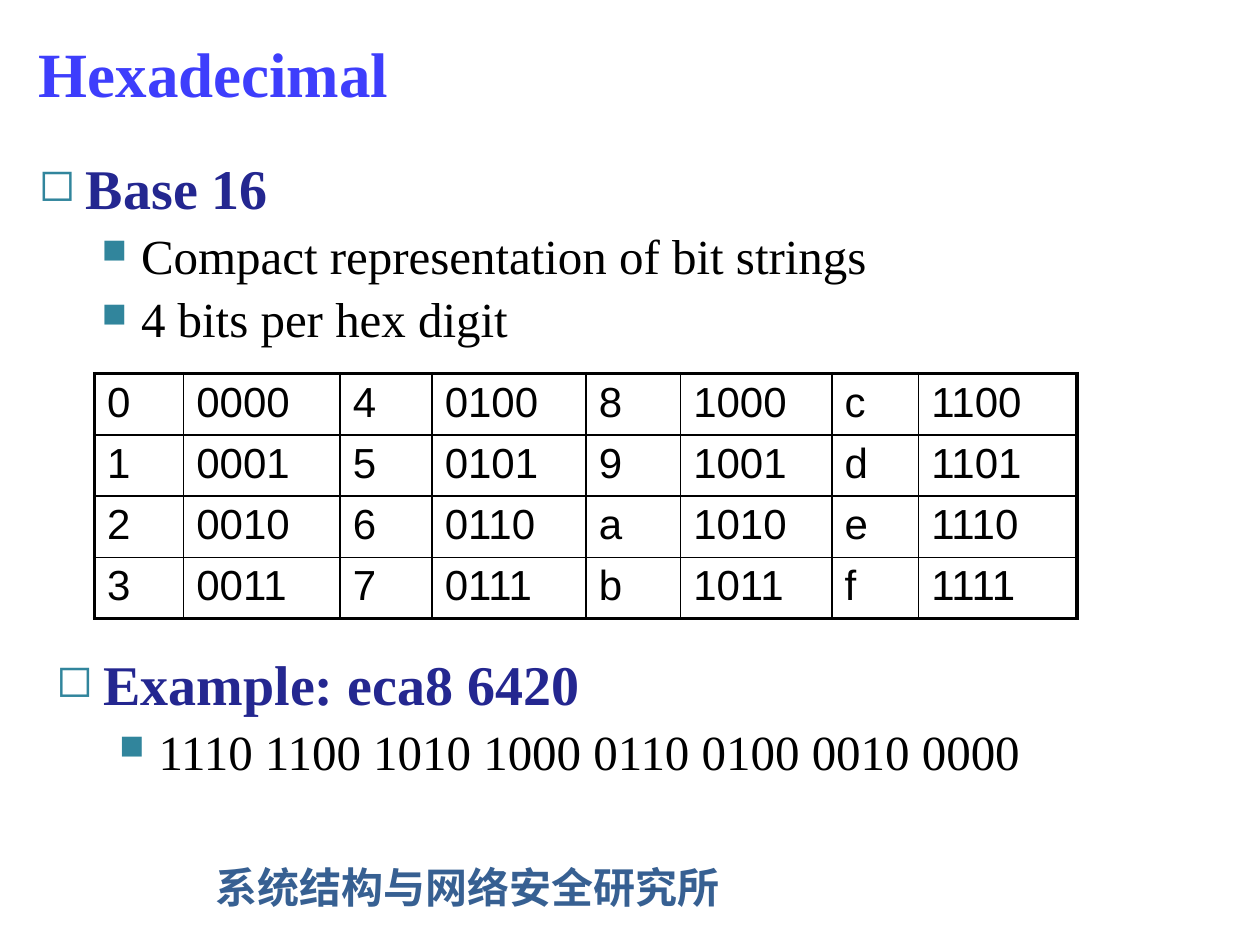
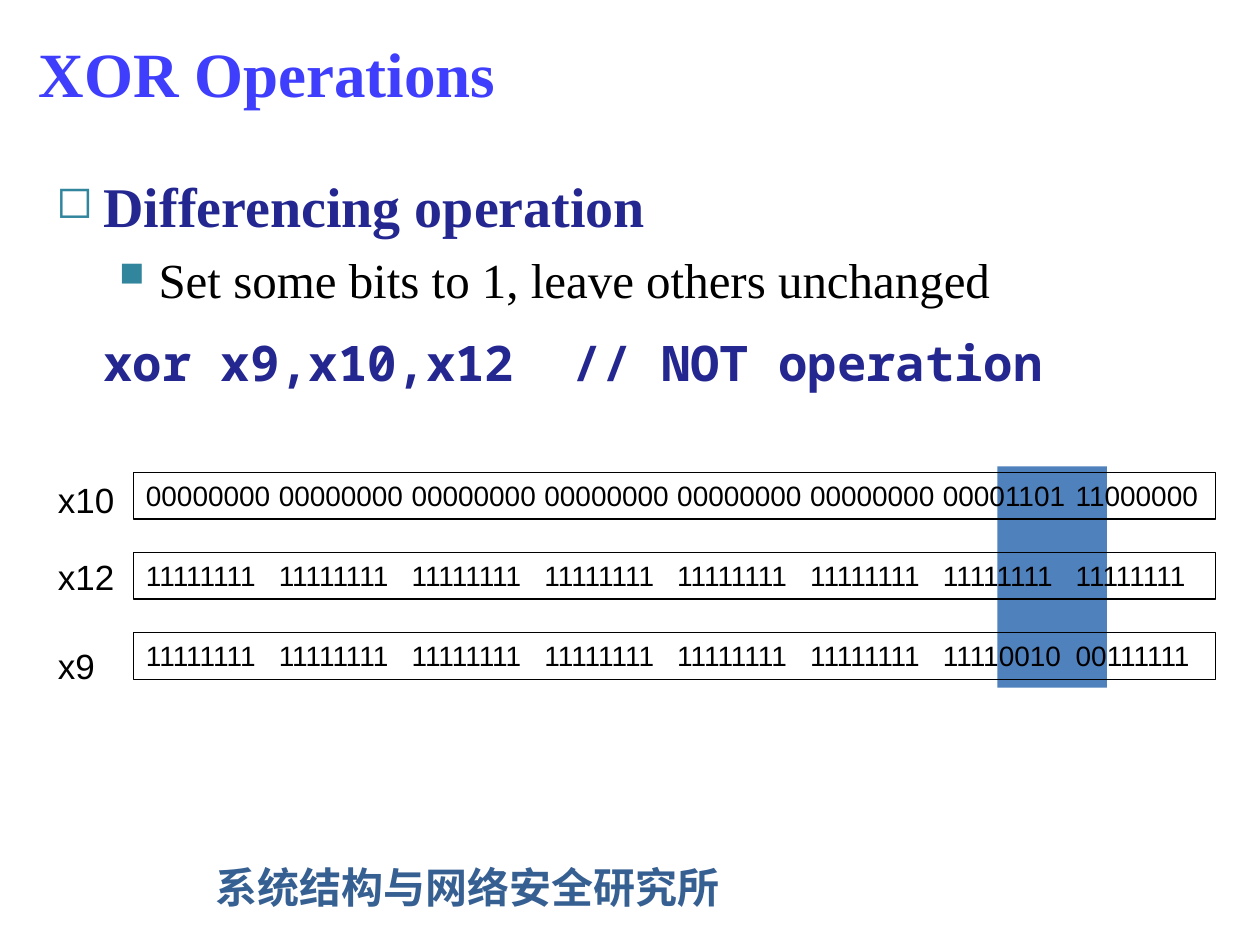
from lxml.etree import SubElement
from pptx import Presentation
from pptx.dml.color import RGBColor
from pptx.enum.shapes import MSO_SHAPE
from pptx.enum.text import MSO_ANCHOR, MSO_AUTO_SIZE, PP_ALIGN
from pptx.oxml.ns import qn
from pptx.util import Pt

# Shared colours and text styles
BLACK, TEAL, NAVY = "000000", "31859C", "242790"
SERIF, SANS, MONO, HAN = "Times New Roman", "Arial", "Noto Sans Mono", "Noto Sans CJK SC"

TITLE = dict(name=SERIF, size=Pt(36), bold=True, color="3E3EFC")
FOOT = dict(name=HAN, size=Pt(24), bold=True, color="376092")
HEAD = dict(name=SERIF, size=Pt(32), bold=True, color=NAVY)
POINT = dict(name=SERIF, size=Pt(28), bold=False, color=BLACK)
CODE = dict(name=MONO, size=Pt(28), bold=True, color=NAVY)
CELL = dict(name=SANS, size=Pt(24), color=BLACK)
BITS = dict(name=SANS, size=Pt(16), color=BLACK)
LABEL = dict(name=SANS, size=Pt(20), color=BLACK)

# Left margin, first-line indent, space before, bullet, bullet size in percent
LEVELS = {
    "head": (27, -27, 6, "◻", 80),
    "point": (58.5, -22.5, 6, "■", 70),
    "code": (27, 0, 14, None, 0),
}


def tint(fmt, code):
    """Give a font or fill one solid colour."""
    fill = getattr(fmt, "fill", fmt)
    fill.solid()
    fill.fore_color.rgb = RGBColor.from_string(code)


def write(frame, lines, space=1.0, tabs=()):
    """Fill a text frame with (text, style, level) lines."""
    for i, (text, style, level) in enumerate(lines):
        para = frame.paragraphs[0] if i == 0 else frame.add_paragraph()
        para.alignment = PP_ALIGN.LEFT
        para.line_spacing = space
        props = para._p.get_or_add_pPr()
        if level:
            left, indent, before, mark, size = LEVELS[level]
            props.set("marL", str(Pt(left)))
            props.set("indent", str(Pt(indent)))
            para.space_before = Pt(before if i else 0)
            if mark:
                color = SubElement(props, qn("a:buClr"))
                SubElement(color, qn("a:srgbClr"), val=TEAL)
                SubElement(props, qn("a:buSzPct"), val=str(size * 1000))
                SubElement(props, qn("a:buChar"), char=mark)
        if tabs:
            stops = SubElement(props, qn("a:tabLst"))
            for stop in tabs:
                SubElement(stops, qn("a:tab"), pos=str(Pt(stop)), algn="l")
        run = para.add_run()
        run.text = text
        for key, value in style.items():
            if key == "color":
                tint(run.font, value)
            else:
                setattr(run.font, key, value)
        if style["name"] == HAN:
            SubElement(run._r.get_or_add_rPr(), qn("a:ea"), typeface=HAN)


deck = Presentation()
deck.slide_width, deck.slide_height = Pt(720), Pt(540)
layout = deck.slide_layouts[5]

# Titles
slides = []
for name in ("Hexadecimal", "XOR Operations"):
    slide = deck.slides.add_slide(layout)
    title = slide.shapes.title
    title.left, title.top, title.width, title.height = Pt(15), Pt(9.5), Pt(600), Pt(64)
    title.text_frame.auto_size = MSO_AUTO_SIZE.NONE
    title.text_frame.vertical_anchor = MSO_ANCHOR.MIDDLE
    write(title.text_frame, [(name, TITLE, None)])
    slides.append(slide)
hexa, xor = slides

# Footer, moved to the layout so that both slides show it
foot = hexa.shapes.add_textbox(Pt(116), Pt(489), Pt(380), Pt(36))
foot.text_frame.word_wrap = True
write(foot.text_frame, [("系统结构与网络安全研究所", FOOT, None)])
layout.shapes.element.append(foot.element)

# Bulleted text: slide, left, top, height, line spacing, lines
blocks = [
    (hexa, 15, 88.5, 124.5, 0.9, [
        ("Base 16", HEAD, "head"),
        ("Compact representation of bit strings", POINT, "point"),
        ("4 bits per hex digit", POINT, "point")]),
    (hexa, 25, 372, 124.5, 0.9, [
        ("Example: eca8 6420", HEAD, "head"),
        ("1110 1100 1010 1000 0110 0100 0010 0000", POINT, "point")]),
    (xor, 25, 94.5, 142, 1.0, [
        ("Differencing operation", HEAD, "head"),
        ("Set some bits to 1, leave others unchanged", POINT, "point"),
        ("xor x9,x10,x12  // NOT operation", CODE, "code")]),
]
for slide, left, top, height, space, lines in blocks:
    box = slide.shapes.add_textbox(Pt(left), Pt(top), Pt(669), Pt(height))
    box.text_frame.word_wrap = True
    write(box.text_frame, lines, space)

# Table of hex digits, four pairs of columns
widths = [51, 89.5, 52.5, 88, 54, 86.5, 49.5, 90.5]
ROWS, COLS, TALL = 4, len(widths), 33.9
frame = hexa.shapes.add_table(ROWS, COLS, Pt(54), Pt(213.5), Pt(sum(widths)), Pt(ROWS * TALL))
grid = frame.table
grid.first_row = grid.horz_banding = False
for col, width in zip(grid.columns, widths):
    col.width = Pt(width)
for row in grid.rows:
    row.height = Pt(TALL)

# Vertical rules: heavy outside, medium between pairs, thin within a pair
rules = [2.25 if c in (0, COLS) else 1 if c % 2 else 1.5 for c in range(COLS + 1)]
beams = [2.25 if r in (0, ROWS) else 1 for r in range(ROWS + 1)]
for r in range(ROWS):
    for c in range(COLS):
        cell = grid.cell(r, c)
        digit = c // 2 * ROWS + r
        cell.margin_top = cell.margin_bottom = Pt(3.1)
        write(cell.text_frame, [(f"{digit:04b}" if c % 2 else f"{digit:x}", CELL, None)])
        props = cell._tc.get_or_add_tcPr()
        sides = dict(lnL=rules[c], lnR=rules[c + 1], lnT=beams[r], lnB=beams[r + 1])
        for side, width in sides.items():
            edge = SubElement(props, qn("a:" + side), w=str(Pt(width)))
            fill = SubElement(edge, qn("a:solidFill"))
            SubElement(fill, qn("a:srgbClr"), val=BLACK)
        cell.fill.background()

# Band behind the bits that change
band = xor.shapes.add_shape(MSO_SHAPE.RECTANGLE, Pt(570), Pt(266.5), Pt(62.5), Pt(126.5))
band.shadow.inherit = False
tint(band, "4F81BD")
band.line.fill.background()

# Registers: label, label top, eight bytes
ONES = ["11111111"]
regs = [
    ("x10", 270, ["00000000"] * 6 + ["00001101", "11000000"]),
    ("x12", 314, ONES * 8),
    ("x9", 365, ONES * 6 + ["11110010", "00111111"]),
]
STEP = 75.9
for i, (name, top, bits) in enumerate(regs):
    bar = xor.shapes.add_shape(
        MSO_SHAPE.RECTANGLE, Pt(76.3), Pt(270 + 45.8 * i), Pt(618.5), Pt(26.6))
    bar.shadow.inherit = False
    bar.fill.background()
    tint(bar.line, BLACK)
    bar.line.width = Pt(0.75)
    bar.text_frame.vertical_anchor = MSO_ANCHOR.TOP
    write(bar.text_frame, [("\t".join(bits), BITS, None)],
          tabs=[round(STEP * n, 1) for n in range(1, len(bits))])
    label = xor.shapes.add_textbox(Pt(26), Pt(top), Pt(47), Pt(31.5))
    label.text_frame.word_wrap = False
    write(label.text_frame, [(name, LABEL, None)])

deck.save("out.pptx")
